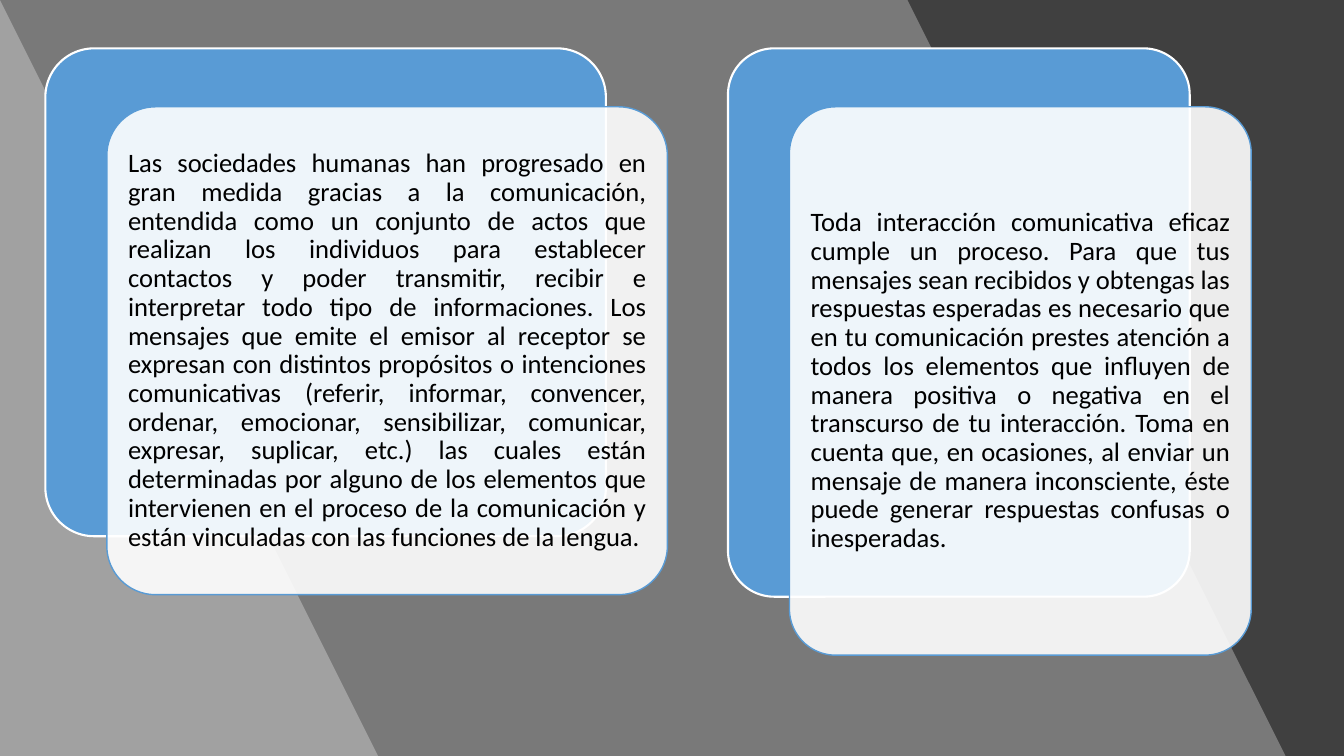
from lxml import etree
from pptx import Presentation
from pptx.dml.color import RGBColor
from pptx.enum.shapes import MSO_SHAPE
from pptx.enum.text import MSO_ANCHOR, PP_ALIGN
from pptx.oxml.ns import qn
from pptx.util import Inches, Pt

CHARCOAL = RGBColor(0x40, 0x40, 0x40)
WHITE = RGBColor(0xFF, 0xFF, 0xFF)
BLUE = RGBColor(0x59, 0x9B, 0xD5)
BLACK = RGBColor(0x00, 0x00, 0x00)

SLIDE_W, SLIDE_H = 13.33, 7.5
CARD_SHIFT_X, CARD_SHIFT_Y = 0.61, 0.58
TEXT_MARGIN = 0.13
TEXT_INSET = 0.08

SOCIETY = (
    "Las sociedades humanas han progresado en gran medida gracias a la "
    "comunicación, entendida como un conjunto de actos que realizan los "
    "individuos para establecer contactos y poder transmitir, recibir e "
    "interpretar todo tipo de informaciones. Los mensajes que emite el emisor "
    "al receptor se expresan con distintos propósitos o intenciones "
    "comunicativas (referir, informar, convencer, ordenar, emocionar, "
    "sensibilizar, comunicar, expresar, suplicar, etc.) las cuales están "
    "determinadas por alguno de los elementos que intervienen en el proceso de "
    "la comunicación y están vinculadas con las funciones de la lengua."
)
INTERACTION = (
    "Toda interacción comunicativa eficaz cumple un proceso. Para que tus "
    "mensajes sean recibidos y obtengas las respuestas esperadas es necesario "
    "que en tu comunicación prestes atención a todos los elementos que "
    "influyen de manera positiva o negativa en el transcurso de tu "
    "interacción. Toma en cuenta que, en ocasiones, al enviar un mensaje de "
    "manera inconsciente, éste puede generar respuestas confusas o inesperadas."
)


def paint(shape, color, opacity=100, line=None, line_width=1):
    shape.shadow.inherit = False
    shape.fill.solid()
    shape.fill.fore_color.rgb = color
    if opacity < 100:
        tone = shape.fill._xPr.find(qn("a:solidFill"))[0]
        etree.SubElement(tone, qn("a:alpha")).set("val", str(opacity * 1000))
    if line is None:
        shape.line.fill.background()
    else:
        shape.line.color.rgb = line
        shape.line.width = Pt(line_width)


def add_backdrop(slide, width, height):
    base = slide.shapes.add_shape(
        MSO_SHAPE.RECTANGLE, 0, 0, Inches(width), Inches(height))
    paint(base, CHARCOAL)

    # Translucent slanted bands, each reaching in from the left edge
    for top_x, bottom_x in ((9.42, 12.89), (0.44, 3.92)):
        outline = slide.shapes.build_freeform(0, 0, scale=Inches(1))
        outline.add_line_segments(
            [(top_x, 0), (bottom_x, height), (0, height)], close=True)
        paint(outline.convert_to_shape(), WHITE, opacity=30)


def add_rounded(slide, left, top, width, height):
    panel = slide.shapes.add_shape(
        MSO_SHAPE.ROUNDED_RECTANGLE,
        Inches(left), Inches(top), Inches(width), Inches(height))
    panel.adjustments[0] = 0.1
    return panel


def add_card(slide, left, top, width, height, message):
    # Blue panel behind, pale panel shifted down and right
    back = add_rounded(slide, left, top, width, height)
    paint(back, BLUE, line=WHITE, line_width=1.5)
    front_left, front_top = left + CARD_SHIFT_X, top + CARD_SHIFT_Y
    front = add_rounded(slide, front_left, front_top, width, height)
    paint(front, WHITE, opacity=90, line=BLUE)

    # Justified message inside the pale panel
    body = slide.shapes.add_textbox(
        Inches(front_left + TEXT_MARGIN), Inches(front_top + TEXT_MARGIN),
        Inches(width - 2 * TEXT_MARGIN), Inches(height - 2 * TEXT_MARGIN))
    frame = body.text_frame
    frame.word_wrap = True
    frame.vertical_anchor = MSO_ANCHOR.MIDDLE
    frame.margin_left = frame.margin_right = Inches(TEXT_INSET)
    frame.margin_top = frame.margin_bottom = Inches(TEXT_INSET)
    paragraph = frame.paragraphs[0]
    paragraph.alignment = PP_ALIGN.JUSTIFY
    paragraph.line_spacing = 0.9
    run = paragraph.add_run()
    run.text = message
    run.font.name = "Calibri"
    run.font.size = Pt(19)
    run.font.color.rgb = BLACK


def main():
    deck = Presentation()
    deck.slide_width, deck.slide_height = Inches(SLIDE_W), Inches(SLIDE_H)
    slide = deck.slides.add_slide(deck.slide_layouts[6])
    add_backdrop(slide, SLIDE_W, SLIDE_H)
    add_card(slide, 0.45, 0.48, 5.56, 4.84, SOCIETY)
    add_card(slide, 7.22, 0.48, 4.58, 5.44, INTERACTION)
    deck.save("out.pptx")


if __name__ == "__main__":
    main()
